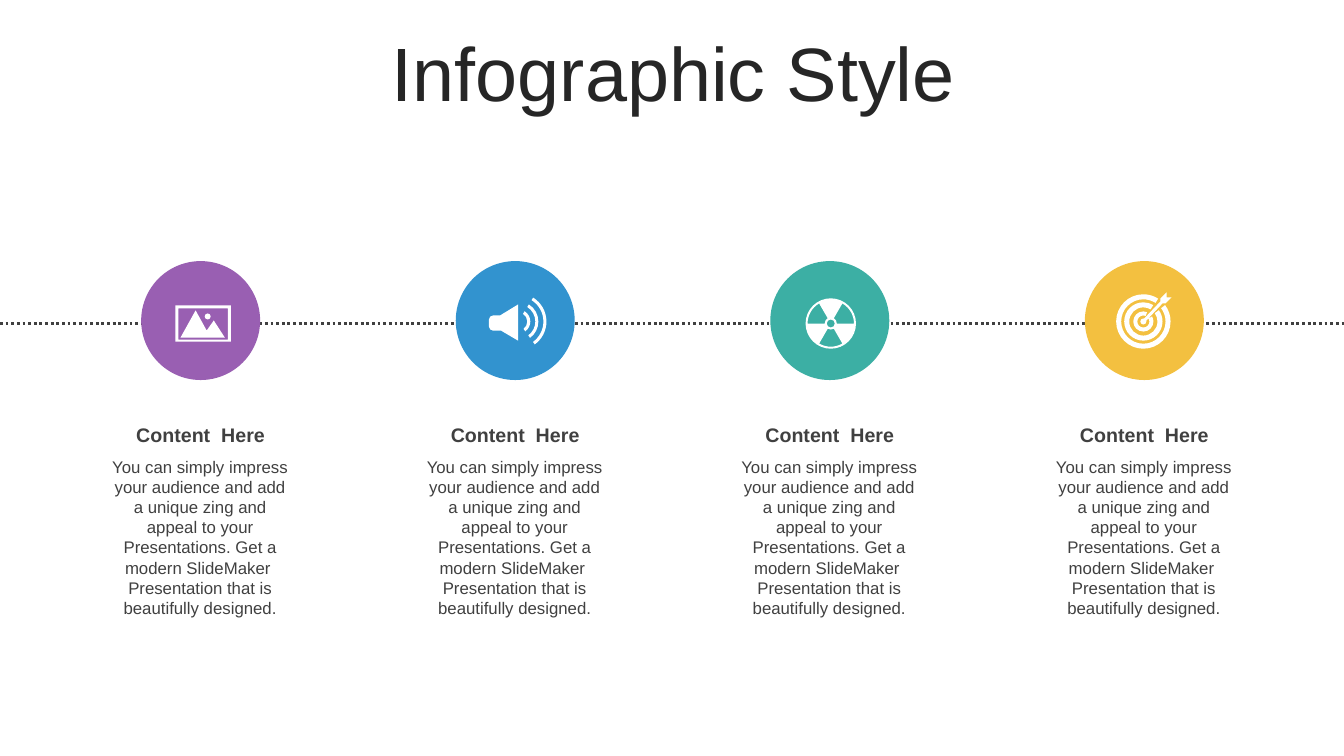
"""Build a slide with four icon milestones along a dotted line."""
import math
from dataclasses import dataclass

import pptx
import pptx.dml.color
import pptx.enum.dml
import pptx.enum.shapes
import pptx.enum.text
import pptx.oxml
import pptx.oxml.ns
import pptx.util

Inches = pptx.util.Inches
Point = tuple[float, float]
Segment = tuple[Point, ...]
Contour = list[Segment]

COLORS = {
    "title": "262626", "text": "404040", "white": "FFFFFF",
    "purple": "995FB2", "blue": "3293CF", "teal": "3CAFA4", "yellow": "F3C040",
}
BODY = ("You can simply impress your audience and add a unique zing and appeal "
        "to your Presentations. Get a modern SlideMaker  Presentation that is "
        "beautifully designed.")
FIRST_CENTER, COLUMN_STEP, CIRCLE_MIDDLE, CIRCLE_SIZE = 1.99, 3.12, 3.18, 1.18


@dataclass
class Milestone:
    color: str
    icon: list[Contour]
    heading: str = "Content  Here"
    body: str = BODY


def rgb(name: str) -> pptx.dml.color.RGBColor:
    return pptx.dml.color.RGBColor.from_string(COLORS[name])


def polygon(*corners: Point) -> Contour:
    return [(corner,) for corner in corners]


def box(left: float, top: float, right: float, bottom: float) -> Contour:
    return polygon((left, top), (right, top), (right, bottom), (left, bottom))


def arc(center: Point, radius: float, start: float, end: float) -> Contour:
    """Return a start point and one cubic curve per quadrant crossed."""
    low, high = sorted((start, end))
    turns = [low, *(a for a in range(-360, 361, 90) if low < a < high), high]
    if start > end:
        turns.reverse()

    def at(angle: float, pull: float = 0) -> Point:
        cos, sin = math.cos(math.radians(angle)), math.sin(math.radians(angle))
        return (center[0] + radius * (cos - pull * sin),
                center[1] + radius * (sin + pull * cos))

    contour: Contour = [(at(start),)]
    for begin, finish in zip(turns, turns[1:]):
        pull = 4 / 3 * math.tan(math.radians(finish - begin) / 4)
        contour.append((at(begin, pull), at(finish, -pull), at(finish)))
    return contour


def disc(center: Point, radius: float) -> Contour:
    return arc(center, radius, 0, 360)


def band(center: Point, outer: float, inner: float, start: float, end: float) -> Contour:
    return arc(center, outer, start, end) + arc(center, inner, end, start)


def landscape_icon() -> list[Contour]:
    mountains = polygon((-0.05, -0.1), (0.06, 0.1), (0.13, 0), (0.24, 0.17), (-0.2, 0.17))
    return [box(-0.25, -0.15, 0.3, 0.21), box(-0.22, -0.12, 0.27, 0.19),
            mountains, disc((0.07, -0.04), 0.03)]


def speaker_icon() -> list[Contour]:
    horn = (polygon((0.03, -0.16), (0.03, 0.2), (-0.14, 0.1))
            + arc((-0.22, 0.06), 0.04, 90, 180)
            + arc((-0.22, -0.01), 0.04, 180, 270) + polygon((-0.15, -0.05)))
    waves = [band((0.03, 0.01), radius, radius - 0.03, -58, 54)
             for radius in (0.12, 0.2, 0.28)]
    return [horn] + waves


def radiation_icon() -> list[Contour]:
    center = (0.01, 0.03)
    gaps = [band(center, 0.23, 0.06, start, start + 60) for start in (60, 180, 300)]
    return [disc(center, 0.25), disc(center, 0.04)] + gaps


def target_icon() -> list[Contour]:
    center = (-0.01, 0.01)
    rings = [band(center, outer, inner, start, end) for outer, inner, start, end in
             ((0.27, 0.22, -37, 303), (0.19, 0.14, -36, 301), (0.1, 0.06, -30, 292))]
    dart = (polygon((0.22, -0.28), (0.22, -0.23), (0.27, -0.23), (0.21, -0.17), (0.18, -0.17))
            + arc(center, 0.03, -15, 285) + polygon((0.16, -0.19), (0.16, -0.22)))
    return rings + [dart]


MILESTONES = [
    Milestone("purple", landscape_icon()),
    Milestone("blue", speaker_icon()),
    Milestone("teal", radiation_icon()),
    Milestone("yellow", target_icon()),
]


def paint(shape, color: str) -> None:
    shape.shadow.inherit = False
    shape.fill.solid()
    shape.fill.fore_color.rgb = rgb(color)
    shape.line.fill.background()


def add_text(slide, text: str, left: float, top: float, width: float, height: float, *,
             size: float, color: str = "text", bold: bool = False,
             middle: bool = False, spacing: float = 1.0) -> None:
    frame = slide.shapes.add_textbox(
        Inches(left), Inches(top), Inches(width), Inches(height)).text_frame
    frame.word_wrap = True
    anchors = pptx.enum.text.MSO_ANCHOR
    frame.vertical_anchor = anchors.MIDDLE if middle else anchors.TOP
    paragraph = frame.paragraphs[0]
    paragraph.alignment = pptx.enum.text.PP_ALIGN.CENTER
    paragraph.line_spacing = spacing
    run = paragraph.add_run()
    run.text = text
    run.font.name = "Arial"
    run.font.size = pptx.util.Pt(size)
    run.font.bold = bold
    run.font.color.rgb = rgb(color)


def add_timeline(slide) -> None:
    timeline = slide.shapes.add_connector(
        pptx.enum.shapes.MSO_CONNECTOR.STRAIGHT,
        Inches(0), Inches(3.21), Inches(13.33), Inches(3.21))
    timeline.line.color.rgb = rgb("text")
    timeline.line.width = pptx.util.Pt(2)
    timeline.line.dash_style = pptx.enum.dml.MSO_LINE.ROUND_DOT
    timeline._element.spPr.append(pptx.oxml.parse_xml(
        '<a:effectLst xmlns:a="http://schemas.openxmlformats.org/drawingml/2006/main"/>'))


def bend_curves(shape, contours: list[Contour]) -> None:
    """Turn each three-point segment into a cubic curve."""
    lines = iter(shape._element.xpath(".//a:path/a:lnTo"))
    for segment in (part for contour in contours for part in contour[1:]):
        first, *others = [next(lines) for _ in segment]
        if others:
            first.tag = pptx.oxml.ns.qn("a:cubicBezTo")
        for other in others:
            first.append(other[0])
            other.getparent().remove(other)


def add_icon(slide, contours: list[Contour], center: float) -> None:
    placed = [[(Inches(center + x), Inches(CIRCLE_MIDDLE + y))
               for segment in contour for x, y in segment] for contour in contours]
    builder = slide.shapes.build_freeform(*placed[0][0])
    builder.add_line_segments(placed[0][1:], close=True)
    for start, *points in placed[1:]:
        builder.move_to(*start)
        builder.add_line_segments(points, close=True)
    icon = builder.convert_to_shape()
    bend_curves(icon, contours)
    paint(icon, "white")


def add_milestone(slide, milestone: Milestone, center: float) -> None:
    circle = slide.shapes.add_shape(
        pptx.enum.shapes.MSO_SHAPE.OVAL,
        Inches(center - CIRCLE_SIZE / 2), Inches(CIRCLE_MIDDLE - CIRCLE_SIZE / 2),
        Inches(CIRCLE_SIZE), Inches(CIRCLE_SIZE))
    paint(circle, milestone.color)
    add_icon(slide, milestone.icon, center)
    add_text(slide, milestone.heading, center - 1.01, 4.15, 2.02, 0.34, size=14, bold=True)
    add_text(slide, milestone.body, center - 1, 4.48, 1.99, 1.72, size=12)


def main() -> None:
    presentation = pptx.Presentation()
    presentation.slide_width = Inches(13.33)
    presentation.slide_height = Inches(7.5)
    slide = presentation.slides.add_slide(presentation.slide_layouts[6])
    add_text(slide, "Infographic Style", 0.35, 0.37, 12.66, 0.79,
             size=54, color="title", middle=True, spacing=0.9)
    add_timeline(slide)
    for index, milestone in enumerate(MILESTONES):
        add_milestone(slide, milestone, FIRST_CENTER + index * COLUMN_STEP)
    presentation.save("out.pptx")


if __name__ == "__main__":
    main()
